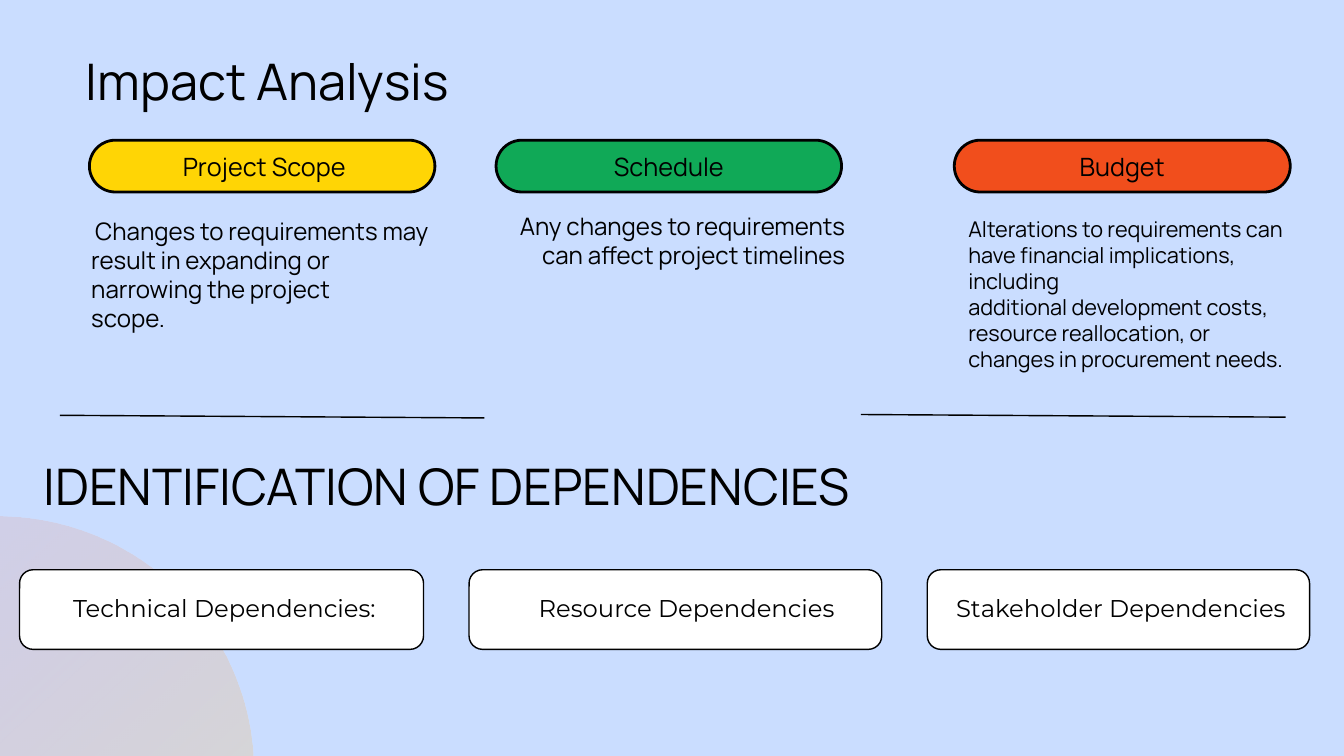
import math

from lxml import etree
from pptx import Presentation, util as u
from pptx.dml.color import RGBColor
from pptx.enum import shapes, text
from pptx.oxml.ns import qn

COLORS = {
    "background": "CADDFF", "ink": "000000", "white": "FFFFFF",
    "scope": "FFD505", "schedule": "10A957", "budget": "F14E1C",
    "glow_start": "FC6645", "glow_end": "FFC759",
}
Cm, Pt = u.Cm, u.Pt
ALIGN = text.PP_ALIGN


def write(shape, lines, font, size, spacing, align=ALIGN.LEFT, insets=(0, 0)):
    """Fill a shape with paragraphs; insets are left and right."""
    frame = shape.text_frame
    frame.word_wrap = True
    frame.margin_left, frame.margin_right = (Cm(inset) for inset in insets)
    frame.margin_top = frame.margin_bottom = 0
    frame.text = "\n".join(lines)
    for paragraph in frame.paragraphs:
        paragraph.alignment = align
        paragraph.line_spacing = Pt(spacing)
        paragraph.font.name = font
        paragraph.font.size = Pt(size)
        paragraph.font.color.rgb = RGBColor.from_string(COLORS["ink"])
    return frame


def add_box(left, top, width, height, fill, border, roundness):
    """Rounded rectangle with a black border."""
    box = slide.shapes.add_shape(shapes.MSO_SHAPE.ROUNDED_RECTANGLE,
                                 Cm(left), Cm(top), Cm(width), Cm(height))
    box.adjustments[0] = roundness
    box.shadow.inherit = False
    box.fill.solid()
    box.fill.fore_color.rgb = RGBColor.from_string(COLORS[fill])
    box.line.color.rgb = RGBColor.from_string(COLORS["ink"])
    box.line.width = Pt(border)
    box.text_frame.vertical_anchor = text.MSO_ANCHOR.MIDDLE
    return box


prs = Presentation()
prs.slide_width, prs.slide_height = Cm(50.8), Cm(28.58)
slide = prs.slides.add_slide(prs.slide_layouts[6])
slide.background.fill.solid()
slide.background.fill.fore_color.rgb = RGBColor.from_string(COLORS["background"])

# Glowing disc in the lower left corner, cut off flat on the left and below
center_x, center_y, radius = -0.05, 29.18, 9.65
disc_left, disc_bottom = -2.97, 31.06
arc = [(Cm(center_x + radius * math.sin(math.radians(angle))),
        Cm(center_y - radius * math.cos(math.radians(angle))))
       for angle in range(-17, 102)]
outline = slide.shapes.build_freeform(Cm(disc_left), Cm(disc_bottom))
outline.add_line_segments([(Cm(disc_left), arc[0][1]), *arc,
                           (arc[-1][0], Cm(disc_bottom))])
disc = outline.convert_to_shape()
disc.shadow.inherit = False
disc.line.fill.background()
disc.fill.gradient()
disc.fill.gradient_angle = 313
for stop, name, opacity in zip(disc.fill.gradient_stops,
                               ("glow_start", "glow_end"), (11, 25)):
    stop.color.rgb = RGBColor.from_string(COLORS[name])
    color = [c for c in disc._element.iter(qn("a:srgbClr"))
             if c.get("val") == COLORS[name]][0]
    etree.SubElement(color, qn("a:alpha"), val=str(opacity * 1000))

# Section headings
for heading, left, top in (("Impact Analysis", 3.25, 2.13),
                           ("IDENTIFICATION OF DEPENDENCIES", 1.65, 17.45)):
    box = slide.shapes.add_textbox(Cm(left), Cm(top), Cm(44.6), Cm(2.26))
    write(box, [heading], "Manrope", 54, 58.3)

# Divider lines
for left, top in ((2.26, 15.7), (32.54, 15.67)):
    divider = slide.shapes.add_connector(
        shapes.MSO_CONNECTOR.STRAIGHT,
        Cm(left), Cm(top), Cm(left + 16.05), Cm(top + 0.1))
    divider.line.color.rgb = RGBColor.from_string(COLORS["ink"])
    divider.line.width = Pt(1.5)
    etree.SubElement(divider._element.spPr, qn("a:effectLst"))

# Impact areas: coloured pills
for area, left, width, fill, inset in (
        ("Project Scope", 3.38, 13.06, "scope", 0.3),
        ("Schedule", 18.75, 13.06, "schedule", 0.15),
        ("Budget", 36.07, 12.7, "budget", 0.15)):
    pill = add_box(left, 5.3, width, 1.96, fill, 3, 0.5)
    write(pill, [area], "Manrope", 27, 32.4, ALIGN.CENTER, (inset, 0.15))

# Impact descriptions
descriptions = (
    (["Changes to requirements may result in expanding or narrowing the project",
      "scope."],
     3.45, 8.18, 12.9, 4.29, 25.8, 31, ALIGN.LEFT, 0.15),
    (["Any changes to requirements can affect project timelines"],
     18.31, 7.98, 13.64, 3.28, 25.8, 31, ALIGN.RIGHT, 0),
    (["Alterations to requirements can have financial implications, including",
      "additional development costs, resource reallocation, or changes in "
      "procurement needs."],
     36.6, 8.18, 11.99, 6.71, 23.2, 27.8, ALIGN.LEFT, 0),
)
for lines, left, top, width, height, size, spacing, align, indent in descriptions:
    box = slide.shapes.add_textbox(Cm(left), Cm(top), Cm(width), Cm(height))
    frame = write(box, lines, "Manrope", size, spacing, align)
    if indent:
        frame.paragraphs[0]._p.get_or_add_pPr().set("indent", str(Cm(indent)))

# Dependency boxes
for dependency, left, width, inset in (
        ("Technical Dependencies:", 0.74, 15.27, 0.23),
        ("Resource Dependencies", 17.73, 15.6, 0.86),
        ("Stakeholder Dependencies", 35.05, 14.45, 0.2)):
    box = add_box(left, 21.54, width, 3.01, "white", 1.5, 0.17)
    write(box, [dependency], "Montserrat", 26, 27.6, ALIGN.CENTER, (inset, 0))

prs.save("out.pptx")
